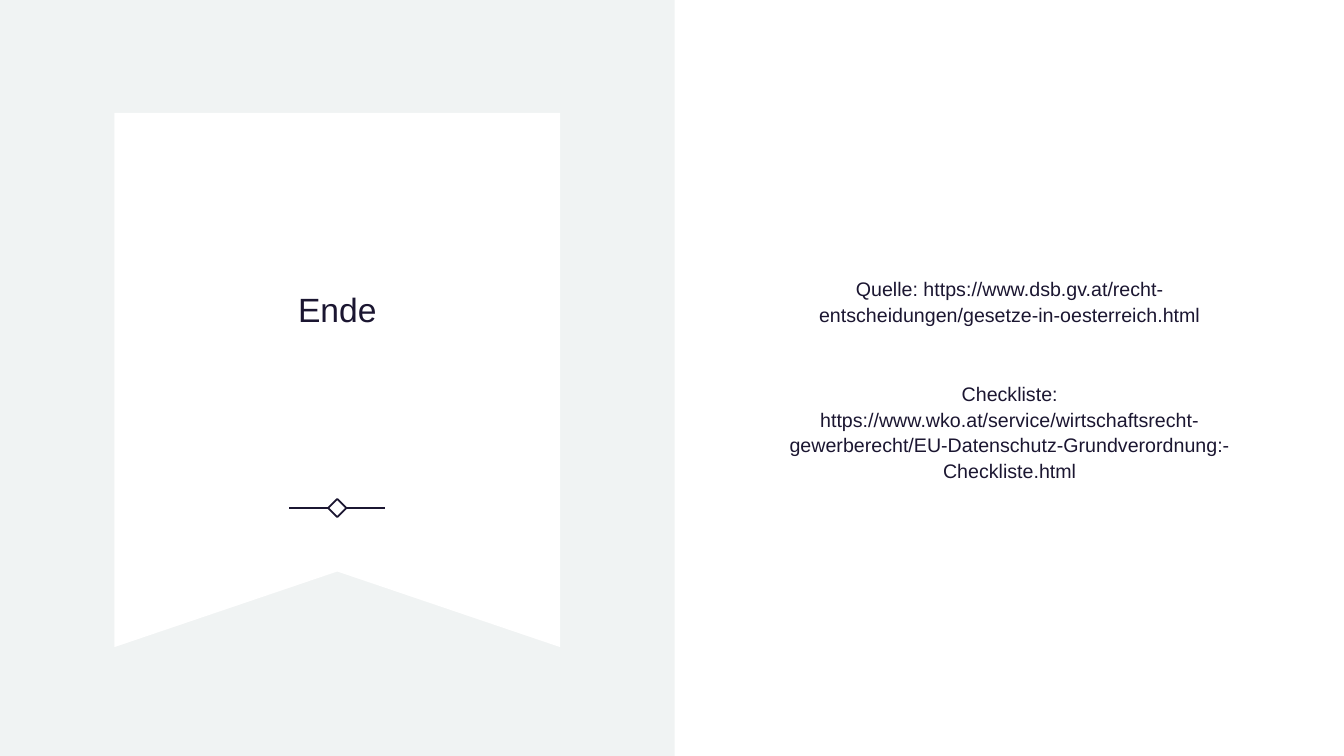
from lxml.etree import SubElement
from pptx import Presentation
from pptx.dml.color import RGBColor
from pptx.enum.shapes import MSO_CONNECTOR as CONN, MSO_SHAPE as SHAPE
from pptx.enum.text import MSO_ANCHOR as ANCHOR, MSO_AUTO_SIZE as FIT, PP_ALIGN as ALIGN
from pptx.oxml.ns import qn
from pptx.util import Inches, Pt

COLORS = {"panel": "F0F3F3", "banner": "FFFFFF", "ink": "1B1631"}
FONT = "Arial"
SOURCES = [
    "Quelle: https://www.dsb.gv.at/recht-entscheidungen/gesetze-in-oesterreich.html",
    "Checkliste: https://www.wko.at/service/wirtschaftsrecht-gewerberecht/"
    "EU-Datenschutz-Grundverordnung:-Checkliste.html",
]


def color(name):
    """Return the named colour."""
    return RGBColor.from_string(COLORS[name])


def fill_plain(sp, name):
    """Give a shape a flat fill without line or shadow."""
    sp.shadow.inherit = False
    sp.fill.solid()
    sp.fill.fore_color.rgb = color(name)
    sp.line.fill.background()


def ink_line(sp):
    """Give a shape or connector the thin dark line."""
    sp.line.color.rgb = color("ink")
    sp.line.width = Pt(1.25)


def add_banner(s, x, y, w, h, notch):
    """Draw a ribbon with a notch cut into its lower edge."""
    points = [(x + w, y), (x + w, y + h), (x + w / 2, y + h - notch), (x, y + h)]
    fb = s.shapes.build_freeform(Inches(x), Inches(y))
    fb.add_line_segments([(Inches(px), Inches(py)) for px, py in points], close=True)
    fill_plain(fb.convert_to_shape(), "banner")


def add_ornament(s, x, y, w, size):
    """Draw a diamond between two lines, centred on x and y."""
    diamond = s.shapes.add_shape(SHAPE.DIAMOND, Inches(x - size / 2), Inches(y - size / 2),
                                 Inches(size), Inches(size))
    diamond.shadow.inherit = False
    diamond.fill.background()
    ink_line(diamond)
    for side in (-1, 1):
        line = s.shapes.add_connector(CONN.STRAIGHT, Inches(x + side * size / 2), Inches(y),
                                      Inches(x + side * w / 2), Inches(y))
        ink_line(line)
        SubElement(line._element.spPr, qn("a:effectLst"))


def fill_placeholder(s, sp, box, texts, size, before=0, gap=0):
    """Place a placeholder on top and write centred paragraphs into it."""
    s.shapes._spTree.append(sp._element)
    sp.left, sp.top, sp.width, sp.height = (Inches(v) for v in box)
    tf = sp.text_frame
    tf.text = "\n".join(texts)
    tf.word_wrap = True
    tf.auto_size = FIT.NONE
    tf.vertical_anchor = ANCHOR.MIDDLE
    for i, p in enumerate(tf.paragraphs):
        p.alignment = ALIGN.CENTER
        p.line_spacing = 1.1
        p.space_before = Pt(gap if i else before)
        pPr = p._p.get_or_add_pPr()
        pPr.set("marL", "0")
        pPr.set("indent", "0")
        SubElement(pPr, qn("a:buNone"))
        for r in p.runs:
            r.font.name, r.font.size = FONT, Pt(size)
            r.font.color.rgb = color("ink")


def add_title_panel(s, x, y, w, h):
    """Build the tinted half with the ribbon, title and ornament."""
    panel = s.shapes.add_shape(SHAPE.RECTANGLE, Inches(x), Inches(y), Inches(w), Inches(h))
    fill_plain(panel, "panel")
    mid = x + w / 2
    add_banner(s, mid - 2.21, y + 1.12, 4.42, 5.3, 0.75)
    add_ornament(s, mid, y + 5.04, 0.95, 0.18)
    fill_placeholder(s, s.shapes.title, (mid - 1.84, y + 1.48, 3.68, 3.14), ["Ende"], 24)


def add_sources(s, x, y, w, h):
    """Write the source list into the body placeholder."""
    fill_placeholder(s, s.placeholders[1], (x, y, w, h), SOURCES, 14, before=10, gap=38)


def main():
    """Build and save the closing slide."""
    prs = Presentation()
    prs.slide_width, prs.slide_height = Inches(13.33), Inches(7.5)
    s = prs.slides.add_slide(prs.slide_layouts[1])
    add_title_panel(s, 0, 0, 6.69, 7.5)
    add_sources(s, 7.66, 0.95, 4.71, 5.61)
    prs.save("out.pptx")


main()
